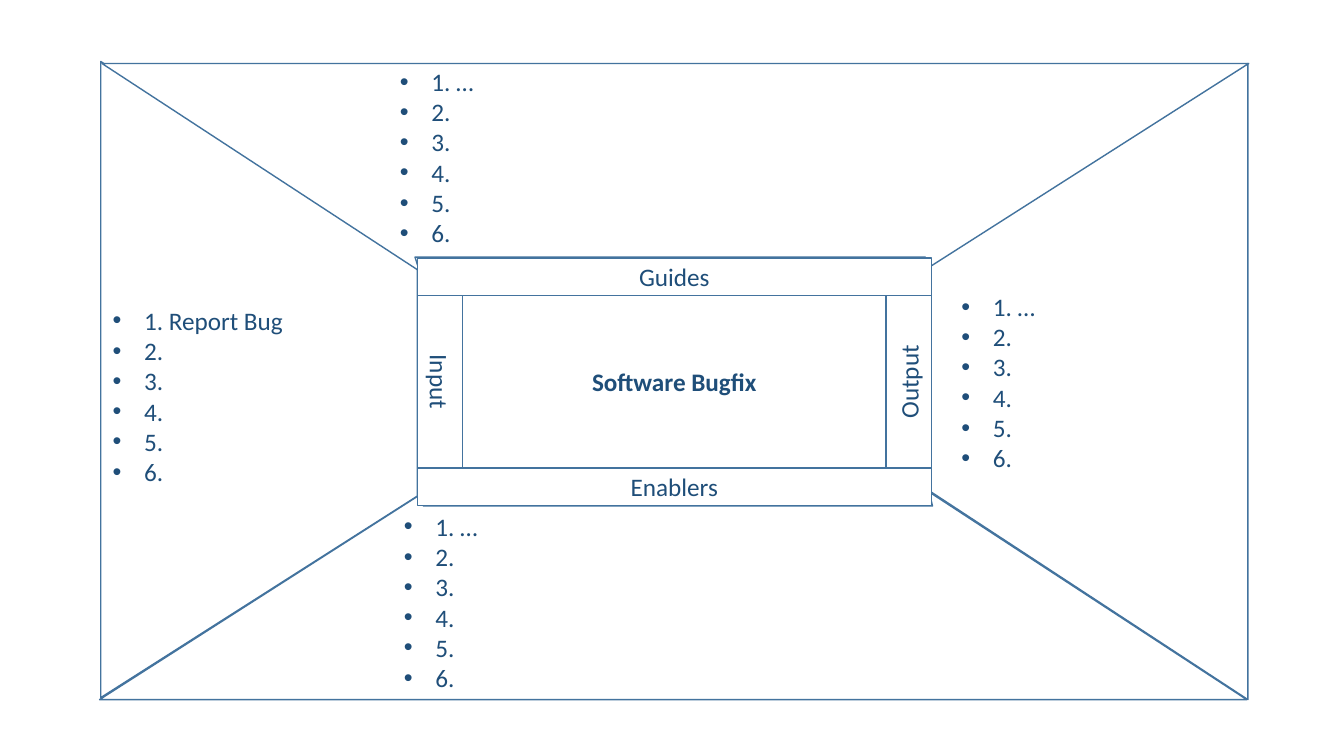
from lxml.etree import SubElement
from pptx import Presentation
from pptx.dml.color import RGBColor
from pptx.enum.shapes import MSO_SHAPE as SHAPE
from pptx.enum.text import MSO_ANCHOR as ANCHOR, PP_ALIGN as ALIGN
from pptx.oxml.ns import qn
from pptx.util import Cm, Pt

WHITE, LINE, INK = "FFFFFF", "43739E", "1F4E79"

# Trapezoids around the process box, corner points in cm
PANELS = [
    [(10.52, 6.78), (10.52, 12.5), (2.54, 17.58), (2.54, 1.55)],
    [(23.47, 12.4), (23.47, 6.68), (31.45, 1.6), (31.45, 17.63)],
    [(10.74, 12.37), (10.67, 12.75), (23.5, 12.75), (23.42, 12.4),
     (31.42, 17.63), (2.51, 17.63)],
    [(23.22, 6.86), (23.32, 6.48), (10.46, 6.48), (10.57, 6.83),
     (2.57, 1.6), (31.47, 1.6)],
]

# Process box: outer left and top, inner size, thickness of its labels
LEFT, TOP = 10.52, 6.5
INNER_W, INNER_H = 10.67, 4.34
SIDE, BAR = 1.14, 0.95

# Lists: left, top, width, first entry
LISTS = [
    (9.98, 1.57, 14.02, "1. …"),
    (10.08, 12.78, 14.02, "1. …"),
    (2.74, 7.59, 7.34, "1. Report Bug"),
    (24.13, 7.24, 7.34, "1. …"),
]


def rgb(value):
    """Turn a hex string into a colour."""
    return RGBColor.from_string(value)


def style_shape(sp):
    """Give a shape the white fill and thin blue outline."""
    sp.shadow.inherit = False
    sp.fill.solid()
    sp.fill.fore_color.rgb = rgb(WHITE)
    sp.line.color.rgb = rgb(LINE)
    sp.line.width = Pt(1)


def style_text(p, bold=False):
    """Format the runs of a paragraph."""
    for r in p.runs:
        r.font.name = "Calibri"
        r.font.size = Pt(18)
        r.font.bold = bold
        r.font.color.rgb = rgb(INK)


def add_panel(s, points):
    """Draw one closed outline through the points."""
    start, *rest = [(Cm(x), Cm(y)) for x, y in points]
    builder = s.shapes.build_freeform(*start)
    builder.add_line_segments(rest, close=True)
    style_shape(builder.convert_to_shape())


def add_label(s, text, x, y, w, h, vert=None, bold=False):
    """Draw a box with centred text, turned if vert is given."""
    sp = s.shapes.add_shape(SHAPE.RECTANGLE, Cm(x), Cm(y), Cm(w), Cm(h))
    style_shape(sp)
    tf = sp.text_frame
    tf.text = text
    tf.vertical_anchor = ANCHOR.MIDDLE
    if vert:
        tf._txBody.bodyPr.set("vert", vert)
    p = tf.paragraphs[0]
    p.alignment = ALIGN.CENTER
    style_text(p, bold)


def add_bullet(p):
    """Give a paragraph a hanging bullet."""
    pPr = p._p.get_or_add_pPr()
    pPr.set("marL", str(Cm(0.79)))
    pPr.set("indent", str(-Cm(0.79)))
    SubElement(pPr, qn("a:buFont")).set("typeface", "Arial")
    SubElement(pPr, qn("a:buChar")).set("char", "•")


def add_list(s, x, y, w, first):
    """Write a list of six numbered entries with bullets."""
    tf = s.shapes.add_textbox(Cm(x), Cm(y), Cm(w), Cm(4.83)).text_frame
    tf.word_wrap = True
    tf.margin_left = tf.margin_right = Cm(0.1)
    tf.margin_top = tf.margin_bottom = Cm(0.1)
    tf.text = "\n".join([first] + [f"{n}." for n in range(2, 7)])
    for p in tf.paragraphs:
        add_bullet(p)
        style_text(p)


def add_process(s):
    """Draw the central process with its four labelled sides."""
    x, y = LEFT + SIDE, TOP + BAR
    right, bottom = x + INNER_W, y + INNER_H
    width = INNER_W + 2 * SIDE
    add_label(s, "Software Bugfix", x, y, INNER_W, INNER_H, bold=True)
    add_label(s, "Guides", LEFT, TOP, width, BAR)
    add_label(s, "Enablers", LEFT, bottom, width, BAR)
    add_label(s, "Input", LEFT, y, SIDE, INNER_H, "vert")
    add_label(s, "Output", right, y, SIDE, INNER_H, "vert270")


def main():
    """Build the slide and save it."""
    prs = Presentation()
    prs.slide_width, prs.slide_height = Cm(33.87), Cm(19.05)
    s = prs.slides.add_slide(prs.slide_layouts[6])
    for points in PANELS:
        add_panel(s, points)
    add_process(s)
    for entry in LISTS:
        add_list(s, *entry)
    prs.save("out.pptx")


main()
